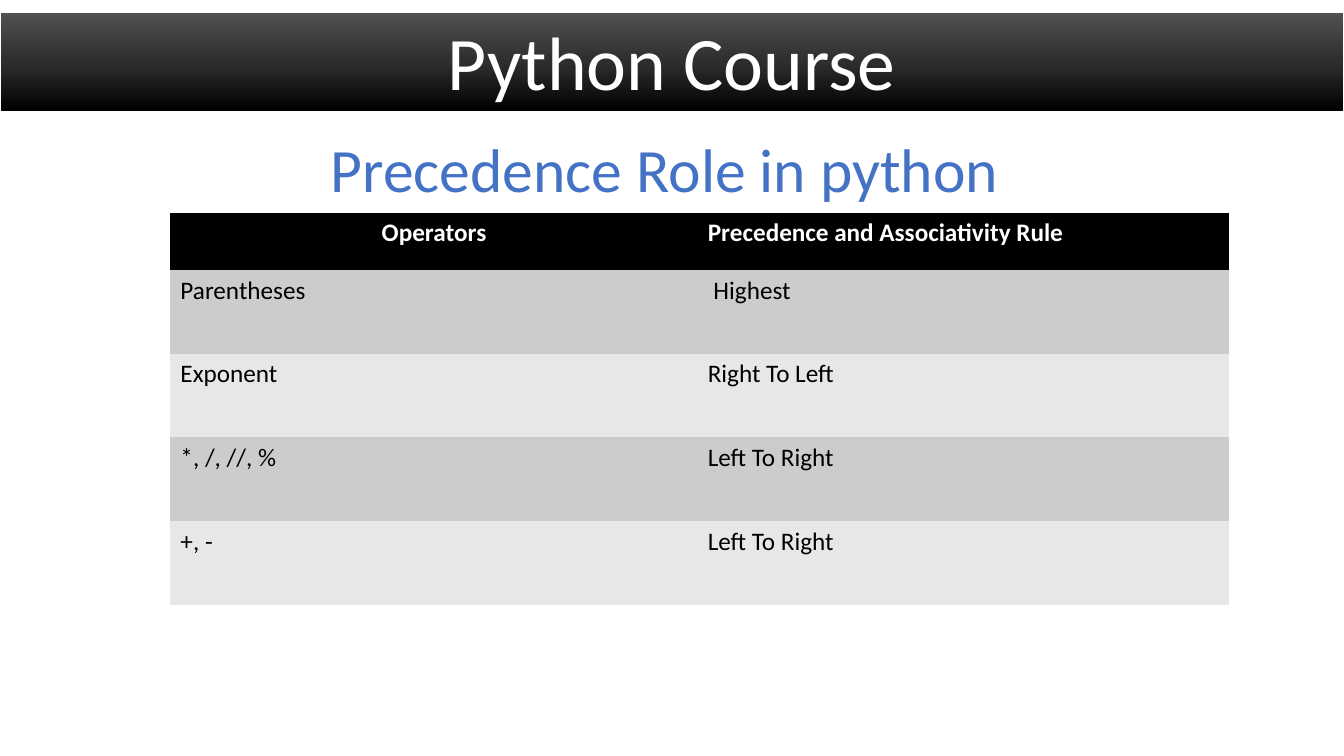
import copy

import pptx
import pptx.dml.color
import pptx.enum.text
import pptx.oxml.ns
import pptx.util

Inches, Pt = pptx.util.Inches, pptx.util.Pt
CENTER = pptx.enum.text.PP_ALIGN.CENTER
LEFT = pptx.enum.text.PP_ALIGN.LEFT
TOP = pptx.enum.text.MSO_ANCHOR.TOP
BOTTOM = pptx.enum.text.MSO_ANCHOR.BOTTOM

TITLE = "Python Course"
SUBTITLE = "Precedence Role in python "
ROWS = [
    ("Operators", "Precedence and Associativity Rule"),
    ("Parentheses", " Highest"),
    ("Exponent", "Right To Left"),
    ("*, /, //, %", "Left To Right"),
    ("+, -", "Left To Right"),
]
COLORS = {
    "white": "FFFFFF", "black": "000000", "blue": "4472C4",
    "dark_band": "CCCCCC", "light_band": "E7E7E7",
}
BANNER_STOPS = [(0, "515151"), (0.5, "2E2E2E"), (1, "000000")]
FONT = "Calibri"
SLIDE_W, SLIDE_H = 13.33, 7.5
HEADING_H = 0.99
COL_WIDTHS = [5.23, 5.27]
HEADER_H, ROW_H = 0.57, 0.83
NO_STYLE = "{2D5ABB26-0587-4C30-8999-92F81FD0307C}"


def rgb(value):
    return pptx.dml.color.RGBColor.from_string(value)


def write(tf, text, size, color, align, bold=False):
    p = tf.paragraphs[0]
    p.alignment = align
    r = p.add_run()
    r.text = text
    r.font.name = FONT
    r.font.size = Pt(size)
    r.font.bold = bold
    r.font.color.rgb = rgb(color)
    return p


def heading(sp, top, text, size, color, anchor):
    sp.left, sp.top = Inches(0), Inches(top)
    sp.width, sp.height = Inches(SLIDE_W), Inches(HEADING_H)
    tf = sp.text_frame
    tf.word_wrap = True
    tf.auto_size = pptx.enum.text.MSO_AUTO_SIZE.NONE
    tf.vertical_anchor = anchor
    p = write(tf, text, size, color, CENTER)
    p.line_spacing = 0.9
    return p


def paint_banner(sp):
    sp.fill.gradient()
    sp.fill.gradient_angle = 270
    first = next(sp.element.iter(pptx.oxml.ns.qn("a:gs")))
    first.addnext(copy.deepcopy(first))
    for stop, (position, color) in zip(sp.fill.gradient_stops, BANNER_STOPS):
        stop.position = position
        stop.color.rgb = rgb(color)
    sp.line.color.rgb = rgb(COLORS["white"])
    sp.line.width = Pt(1.5)


def add_rules(s):
    height = HEADER_H + ROW_H * (len(ROWS) - 1)
    frame = s.shapes.add_table(
        len(ROWS), len(COL_WIDTHS), Inches(1.69), Inches(2.11),
        Inches(sum(COL_WIDTHS)), Inches(height))
    next(frame.element.iter(pptx.oxml.ns.qn("a:tableStyleId"))).text = NO_STYLE
    table = frame.table
    for column, width in zip(table.columns, COL_WIDTHS):
        column.width = Inches(width)
    for i, texts in enumerate(ROWS):
        header = i == 0
        table.rows[i].height = Inches(HEADER_H if header else ROW_H)
        band = "black" if header else "dark_band" if i % 2 else "light_band"
        for j, text in enumerate(texts):
            cell = table.cell(i, j)
            cell.fill.solid()
            cell.fill.fore_color.rgb = rgb(COLORS[band])
            write(cell.text_frame, text, 18,
                  COLORS["white" if header else "black"],
                  CENTER if header and j == 0 else LEFT, header)


def main():
    prs = pptx.Presentation()
    prs.slide_width, prs.slide_height = Inches(SLIDE_W), Inches(SLIDE_H)
    s = prs.slides.add_slide(prs.slide_layouts[0])
    title, subtitle = s.shapes.title, s.placeholders[1]
    heading(title, 0.12, TITLE, 54, COLORS["white"], BOTTOM)
    paint_banner(title)
    p = heading(subtitle, 1.33, SUBTITLE, 44, COLORS["blue"], TOP)
    p.space_before = Pt(10)
    add_rules(s)
    prs.save("out.pptx")


if __name__ == "__main__":
    main()
